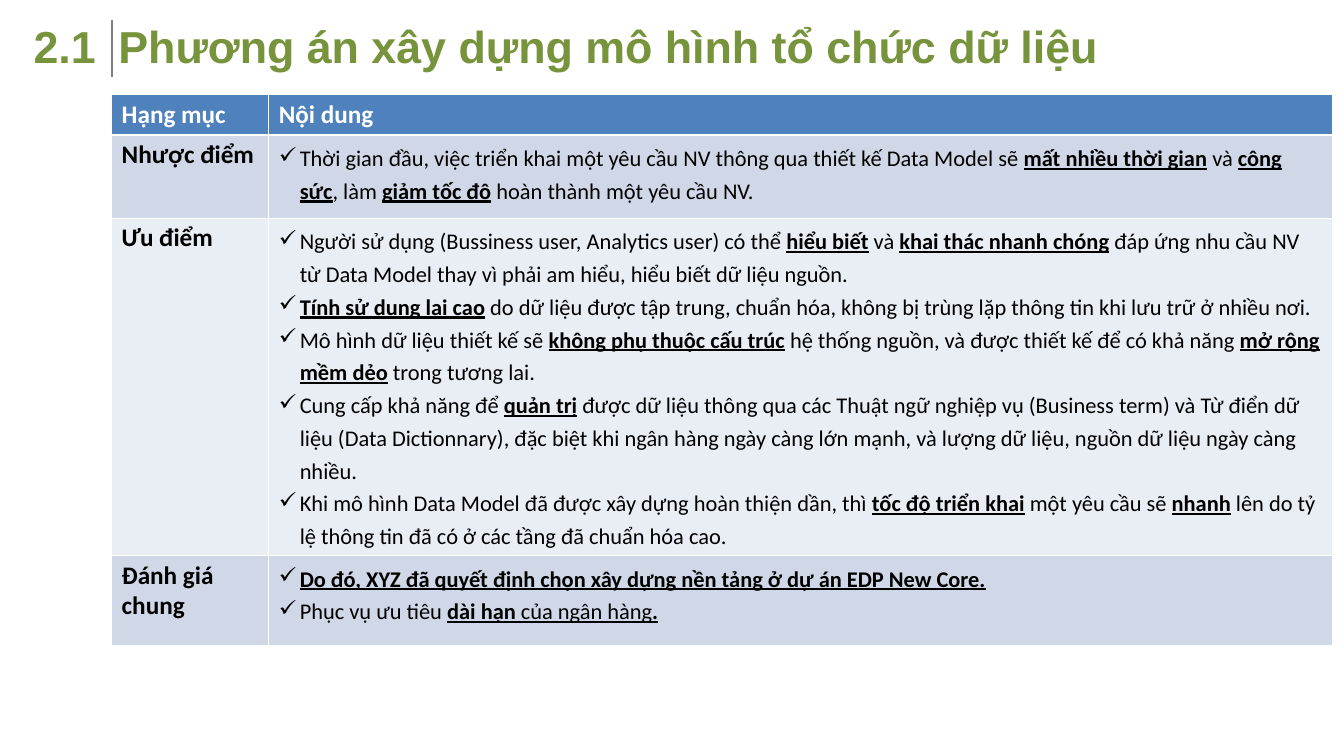
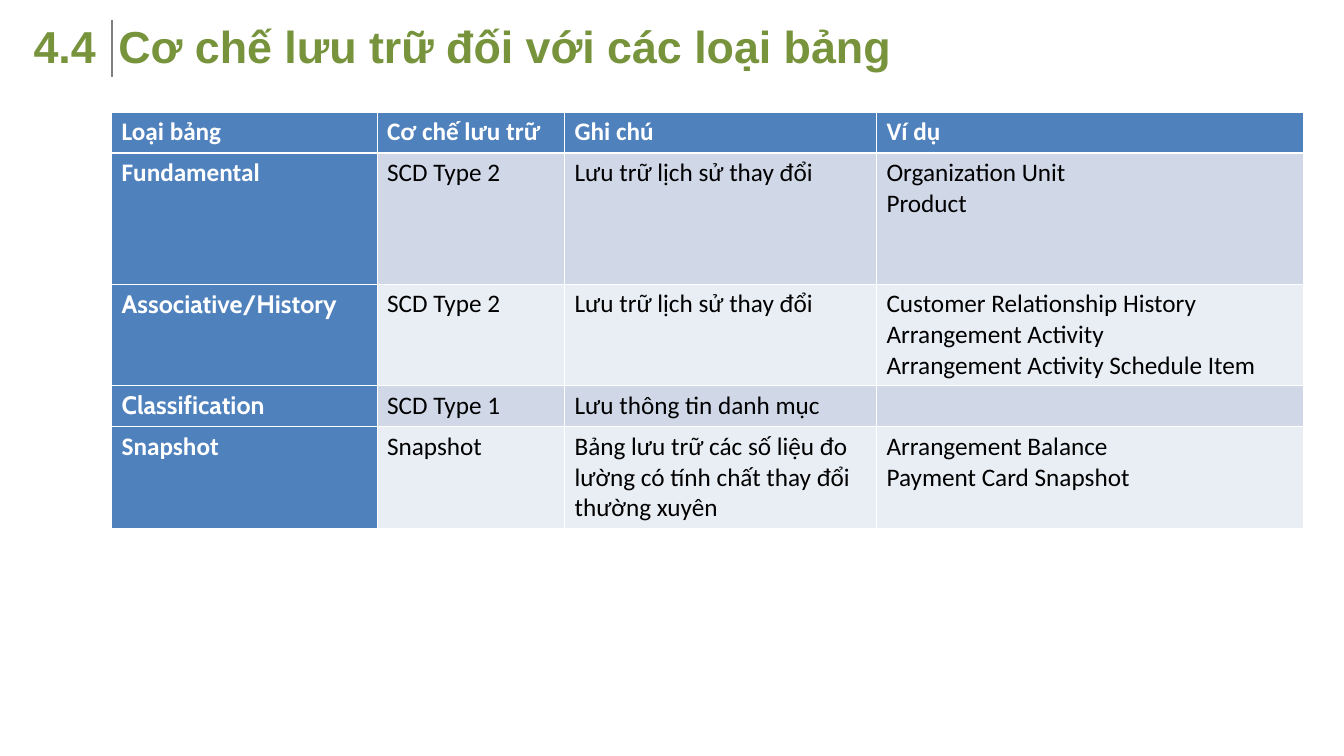
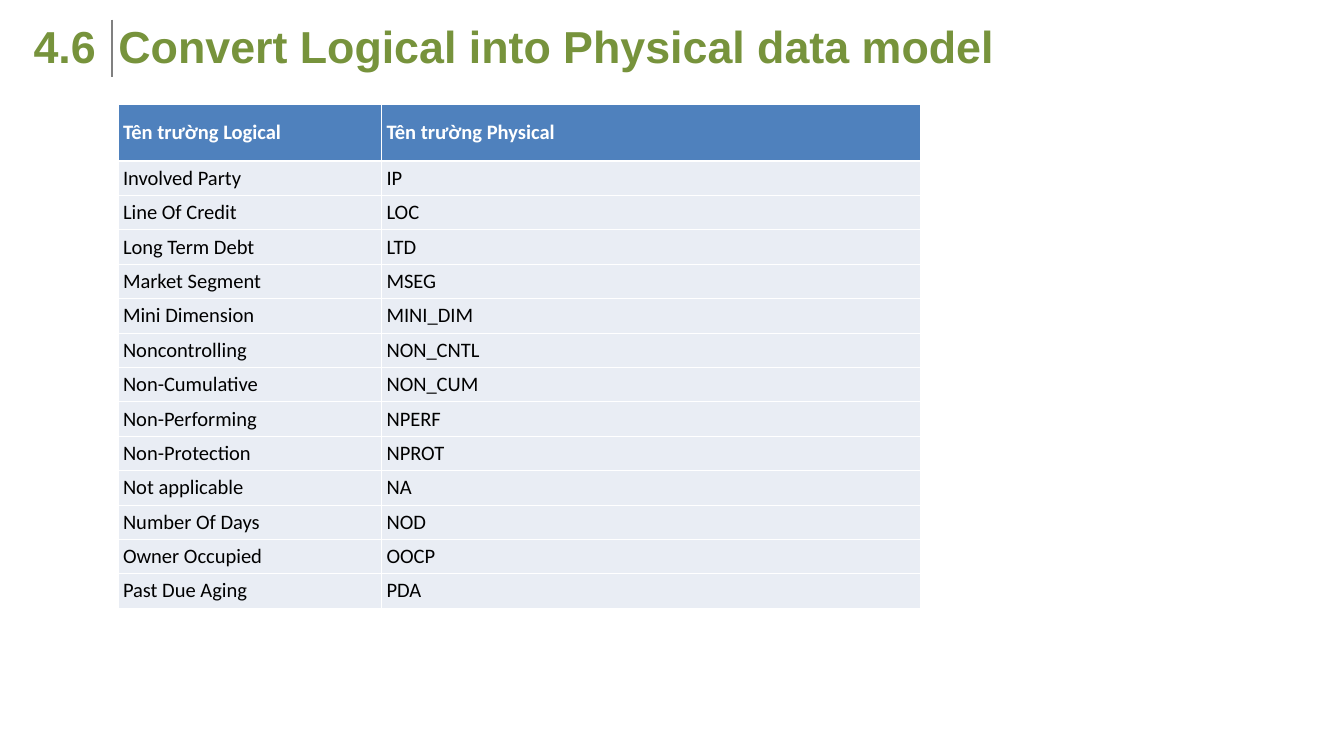
import lxml.etree
import pptx
import pptx.dml.color
import pptx.enum.shapes
import pptx.enum.text
import pptx.oxml.ns
import pptx.util

Cm = pptx.util.Cm
Pt = pptx.util.Pt
RGBColor = pptx.dml.color.RGBColor
MIDDLE = pptx.enum.text.MSO_ANCHOR.MIDDLE
TOP = pptx.enum.text.MSO_ANCHOR.TOP
qn = pptx.oxml.ns.qn

GREEN = RGBColor(0x77, 0x93, 0x3C)
GREY = RGBColor(0x80, 0x80, 0x80)
BLUE = RGBColor(0x4F, 0x81, 0xBD)
BAND = RGBColor(0xD0, 0xD8, 0xE8)
PALE = RGBColor(0xE9, 0xED, 0xF4)
WHITE = RGBColor(0xFF, 0xFF, 0xFF)
BLACK = RGBColor(0, 0, 0)


def write(frame, text, size=27, font="Calibri", color=BLACK, bold=False, checked=False):
    """Write one paragraph a line; *x* is bold and underlined, ~x~ is underlined."""
    frame.word_wrap = True
    for number, line in enumerate(text.split("\n")):
        para = frame.add_paragraph() if number else frame.paragraphs[0]
        para.alignment = pptx.enum.text.PP_ALIGN.LEFT
        if checked:
            properties = para._p.get_or_add_pPr()
            properties.set("marL", str(Cm(0.79)))
            properties.set("indent", str(-Cm(0.79)))
            bullet = lxml.etree.SubElement(properties, qn("a:buChar"))
            bullet.set("char", "✓")
            para.line_spacing = 1.2
        for i, part in enumerate(line.split("*")):
            for j, piece in enumerate(part.split("~")):
                if piece:
                    span = para.add_run()
                    span.text = piece
                    span.font.size = Pt(size)
                    span.font.name = font
                    span.font.color.rgb = color
                    span.font.bold = bold or i % 2 == 1
                    span.font.underline = i % 2 == 1 or j % 2 == 1


def add_border(cell, side, width):
    line = lxml.etree.SubElement(cell._tc.get_or_add_tcPr(), qn("a:ln" + side))
    line.set("w", str(Pt(width)))
    fill = lxml.etree.SubElement(line, qn("a:solidFill"))
    lxml.etree.SubElement(fill, qn("a:srgbClr")).set("val", str(WHITE))


# Contents
advantages = [
    "Người sử dụng (Bussiness user, Analytics user) có thể *hiểu biết* và "
    "*khai thác nhanh chóng* đáp ứng nhu cầu NV từ Data Model thay vì phải am hiểu, "
    "hiểu biết dữ liệu nguồn.",
    "*Tính sử dụng lại cao* do dữ liệu được tập trung, chuẩn hóa, không bị trùng lặp "
    "thông tin khi lưu trữ ở nhiều nơi.",
    "Mô hình dữ liệu thiết kế sẽ *không phụ thuộc cấu trúc* hệ thống nguồn, và được "
    "thiết kế để có khả năng *mở rộng mềm dẻo* trong tương lai.",
    "Cung cấp khả năng để *quản trị* được dữ liệu thông qua các Thuật ngữ nghiệp vụ "
    "(Business term) và Từ điển dữ liệu (Data Dictionnary), đặc biệt khi ngân hàng "
    "ngày càng lớn mạnh, và lượng dữ liệu, nguồn dữ liệu ngày càng nhiều.",
    "Khi mô hình Data Model đã được xây dựng hoàn thiện dần, thì *tốc độ triển khai* "
    "một yêu cầu sẽ *nhanh* lên do tỷ lệ thông tin đã có ở các tầng đã chuẩn hóa cao.",
]
evaluation = [
    ("Hạng mục", "Nội dung"),
    ("Nhược điểm",
     "Thời gian đầu, việc triển khai một yêu cầu NV thông qua thiết kế Data Model sẽ "
     "*mất nhiều thời gian* và *công sức*, làm *giảm tốc độ* hoàn thành một yêu cầu NV."),
    ("Ưu điểm", "\n".join(advantages)),
    ("Đánh giá chung",
     "*Do đó, XYZ đã quyết định chọn xây dựng nền tảng ở dự án EDP New Core.*\n"
     "Phục vụ ưu tiêu *dài hạn*~ của ngân hàng~*.*"),
]
storage = [
    ("Loại bảng", "Cơ chế lưu trữ", "Ghi chú", "Ví dụ"),
    ("Fundamental", "SCD Type 2", "Lưu trữ lịch sử thay đổi", "Organization Unit\nProduct"),
    ("Associative/History", "SCD Type 2", "Lưu trữ lịch sử thay đổi",
     "Customer Relationship History\nArrangement Activity\n"
     "Arrangement Activity Schedule Item"),
    ("Classification", "SCD Type 1", "Lưu thông tin danh mục", ""),
    ("Snapshot", "Snapshot",
     "Bảng lưu trữ các số liệu đo lường có tính chất thay đổi thường xuyên",
     "Arrangement Balance\nPayment Card Snapshot"),
]
abbreviations = [
    ("Tên trường Logical", "Tên trường Physical"),
    ("Involved Party", "IP"),
    ("Line Of Credit", "LOC"),
    ("Long Term Debt", "LTD"),
    ("Market Segment", "MSEG"),
    ("Mini Dimension", "MINI_DIM"),
    ("Noncontrolling", "NON_CNTL"),
    ("Non-Cumulative", "NON_CUM"),
    ("Non-Performing", "NPERF"),
    ("Non-Protection", "NPROT"),
    ("Not applicable", "NA"),
    ("Number Of Days", "NOD"),
    ("Owner Occupied", "OOCP"),
    ("Past Due Aging", "PDA"),
]

# Each page: number, title, rows, table left and top, column widths, row heights,
# cell margins (side, top), anchor, band fills, label format, body format
pages = [
    ("2.1", "Phương án xây dựng mô hình tổ chức dữ liệu", evaluation,
     4.22, 3.58, [5.94, 40.21], [1.45, 3.15, 11.63, 3.38], (0.38, 0.18), TOP, (BAND, PALE),
     {"bold": True}, {"size": 24, "checked": True}),
    ("4.4", "Cơ chế lưu trữ đối với các loại bảng", storage,
     4.22, 4.24, [10.03, 7.09, 11.79, 16.13], [1.55, 4.95, 3.81, 1.55, 3.81],
     (0.38, 0.18), TOP, (BAND, PALE), {"bold": True, "color": WHITE}, {}),
    ("4.6", "Convert Logical into Physical data model", abbreviations,
     4.47, 3.96, [9.96, 20.37], [2.13] + [1.3] * 13, (0.18, 0), MIDDLE, (PALE, PALE),
     {"size": 22}, {"size": 22}),
]
cabin_labels = ("Associative/History", "Classification")

deck = pptx.Presentation()
deck.slide_width, deck.slide_height = Cm(50.8), Cm(28.58)

for (number, title, rows, left, top, widths, heights, margins, anchor, bands,
     label_format, body_format) in pages:
    slide = deck.slides.add_slide(deck.slide_layouts[5])

    # Section number, divider and title
    number_box = slide.shapes.add_textbox(Cm(1.02), Cm(0.56), Cm(2.9), Cm(2.31))
    title_box = slide.shapes.title
    title_box.left, title_box.top = Cm(4.22), Cm(0.56)
    title_box.width, title_box.height = Cm(47.93), Cm(2.31)
    for box, text in ((number_box, number), (title_box, title)):
        box.text_frame.auto_size = pptx.enum.text.MSO_AUTO_SIZE.NONE
        box.text_frame.vertical_anchor = MIDDLE
        write(box.text_frame, text, size=48, font="Arial", color=GREEN, bold=True)
    divider = slide.shapes.add_connector(
        pptx.enum.shapes.MSO_CONNECTOR.STRAIGHT, Cm(4.22), Cm(0.74), Cm(4.22), Cm(2.92))
    divider.line.color.rgb = GREY
    divider.line.width = Pt(2.25)
    lxml.etree.SubElement(divider._element.spPr, qn("a:effectLst"))

    # Table grid
    table = slide.shapes.add_table(
        len(rows), len(widths), Cm(left), Cm(top), Cm(sum(widths)), Cm(sum(heights))).table
    table.horz_banding = False
    for column, width in zip(table.columns, widths):
        column.width = Cm(width)
    for row, height in zip(table.rows, heights):
        row.height = Cm(height)

    # Table cells
    for r, texts in enumerate(rows):
        for c, text in enumerate(texts):
            cell = table.cell(r, c)
            cell.margin_left = cell.margin_right = Cm(margins[0])
            cell.margin_top = cell.margin_bottom = Cm(margins[1])
            cell.vertical_anchor = anchor
            for side in "LRTB":
                under_header = (r, side) in ((0, "B"), (1, "T"))
                add_border(cell, side, 3 if under_header else 1)
            style = dict(body_format if c else label_format)
            if r == 0:
                style = {"size": label_format.get("size", 27), "color": WHITE, "bold": True}
            elif text in cabin_labels:
                style["font"] = "Cabin"
            blue = r == 0 or style.get("color") == WHITE
            cell.fill.solid()
            cell.fill.fore_color.rgb = BLUE if blue else bands[(r - 1) % 2]
            write(cell.text_frame, text, **style)

deck.save("out.pptx")
